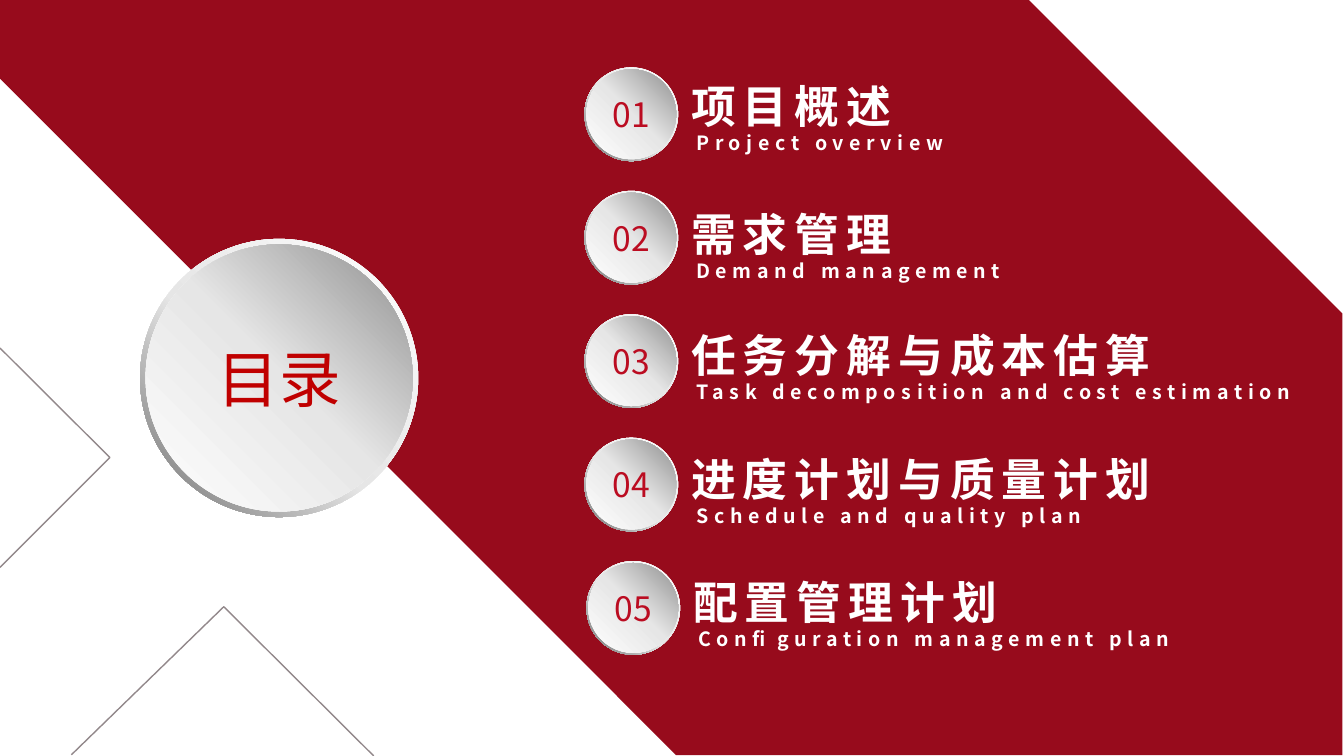
from copy import deepcopy

from lxml.etree import SubElement
from pptx import Presentation
from pptx.dml.color import RGBColor
from pptx.enum.shapes import MSO_SHAPE as Shape
from pptx.enum.text import MSO_ANCHOR as Anchor, MSO_AUTO_SIZE as AutoSize, PP_ALIGN as Align
from pptx.oxml.ns import qn
from pptx.util import Cm, Pt

COLORS = {
    "band": "970B1C",
    "outline": "92888B",
    "contents": "C00000",
    "number": "BB0C21",
    "white": "FFFFFF",
    "silver": "E6E6E6",
    "rim_dark": "6C6C6C",
    "face_dark": "8F8F8F",
}
RIM = {"stops": [(0, "white"), (0.55, "silver"), (1, "rim_dark")], "angle": 225}
FACE = {"stops": [(0, "white"), (0.51, "silver"), (1, "face_dark")], "angle": 45}

CONTENTS = {"size": Pt(44), "color": "contents"}
NUMBER = {"size": Pt(24), "color": "number"}
TITLE = {"size": Pt(32), "bold": True, "color": "white", "spacing": 5}
SUBTITLE = {"size": Pt(14), "bold": True, "color": "white", "spacing": 4}

BAND = [(0, 0), (0, 1.98), (17.04, 19.03), (33.83, 19.03), (33.83, 7.9), (25.93, 0)]
CHEVRONS = [
    [(0, 8.77), (2.77, 11.53), (0, 14.3)],
    [(1.8, 19.02), (5.64, 15.29), (9.42, 19.05)],
]

# title, subtitle, title width, subtitle width, shift to the right, drop below the circle's top
CHAPTERS = [
    ("项目概述", "Project overview", 11.46, 12.27, 0, 0.15),
    ("需求管理", "Demand management", 11.46, 12.27, 0, 0.27),
    ("任务分解与成本估算", "Task decomposition and cost estimation", 12.57, 16.5, 0, 0.22),
    ("进度计划与质量计划", "Schedule and quality plan", 13.03, 12.27, 0, 0.22),
    ("配置管理计划", "Configuration management plan", 13.03, 15.14, 0.05, 0.22),
]
FIRST_TOP, PITCH = 1.7, 3.11


class ContentsSlide:
    font_name = "Noto Sans CJK SC"

    def __init__(self, presentation):
        self.slide = presentation.slides.add_slide(presentation.slide_layouts[6])
        self.shapes = self.slide.shapes

    def color(self, name):
        return RGBColor.from_string(COLORS[name])

    def add_text(self, frame, text, style, align=Align.LEFT):
        paragraph = frame.paragraphs[0]
        paragraph.alignment = align
        run = paragraph.add_run()
        run.text = text
        values = {"name": self.font_name, "size": style["size"], "bold": style.get("bold", False)}
        for attribute, value in values.items():
            setattr(run.font, attribute, value)
        run.font.color.rgb = self.color(style["color"])
        properties = run._r.get_or_add_rPr()
        properties.set("spc", str(style.get("spacing", 0) * 100))
        SubElement(properties, qn("a:ea")).set("typeface", self.font_name)

    def textbox(self, shapes, box, text, style, align=Align.LEFT, wrap=True):
        frame = shapes.add_textbox(*map(Cm, box)).text_frame
        frame.word_wrap = wrap
        frame.auto_size = AutoSize.SHAPE_TO_FIT_TEXT
        self.add_text(frame, text, style, align)

    def polygon(self, points, fill=None, line=None):
        """Draw a closed filled outline, or an open line when no fill is given."""
        corners = [(Cm(x), Cm(y)) for x, y in points]
        builder = self.shapes.build_freeform(*corners[0])
        builder.add_line_segments(corners[1:], close=fill is not None)
        shape = builder.convert_to_shape()
        shape.shadow.inherit = False
        if fill:
            shape.fill.solid()
            shape.fill.fore_color.rgb = self.color(fill)
        else:
            shape.fill.background()
        if line:
            shape.line.color.rgb = self.color(line)
            shape.line.width = Pt(1)
        else:
            shape.line.fill.background()

    def gradient_disc(self, shapes, kind, left, top, size, gradient):
        shape = shapes.add_shape(kind, Cm(left), Cm(top), Cm(size), Cm(size))
        shape.shadow.inherit = False
        shape.line.fill.background()
        shape.fill.gradient()
        shape.fill.gradient_angle = gradient["angle"]
        stop_list = shape._element.spPr.find(".//" + qn("a:gsLst"))
        stop_list.append(deepcopy(stop_list[-1]))
        for stop, (position, name) in zip(shape.fill.gradient_stops, gradient["stops"]):
            stop.position = position
            stop.color.rgb = self.color(name)
        return shape

    def medallion(self, left, top, size, number=None):
        """Group a metallic rim with the disc inside it."""
        shapes = self.shapes.add_group_shape().shapes
        rim = self.gradient_disc(shapes, Shape.DONUT, left, top, size, RIM)
        rim.adjustments[0] = 0.05
        inset = 0.02 * size
        face = self.gradient_disc(
            shapes, Shape.OVAL, left + inset, top + inset, size - 2 * inset, FACE
        )
        if number:
            face.text_frame.vertical_anchor = Anchor.MIDDLE
            self.add_text(face.text_frame, number, NUMBER, Align.CENTER)

    def heading(self, left, top, title, subtitle, title_width, subtitle_width):
        shapes = self.shapes.add_group_shape().shapes
        self.textbox(shapes, (left, top, title_width, 1.63), title, TITLE)
        self.textbox(shapes, (left + 0.13, top + 1.32, subtitle_width, 0.86), subtitle, SUBTITLE)


def main():
    presentation = Presentation()
    presentation.slide_width, presentation.slide_height = Cm(33.87), Cm(19.05)
    contents = ContentsSlide(presentation)

    contents.polygon(BAND, fill="band")
    for chevron in CHEVRONS:
        contents.polygon(chevron, line="outline")

    contents.medallion(3.53, 6.02, 7.01)
    contents.textbox(
        contents.shapes, (5.23, 8.46, 3.61, 2.13), "目录", CONTENTS, Align.CENTER, wrap=False
    )

    for index, (title, subtitle, title_width, subtitle_width, shift, drop) in enumerate(CHAPTERS):
        top = FIRST_TOP + index * PITCH
        contents.medallion(14.73 + shift, top, 2.36, f"{index + 1:02}")
        contents.heading(17.17 + shift, top + drop, title, subtitle, title_width, subtitle_width)

    presentation.save("out.pptx")


if __name__ == "__main__":
    main()
